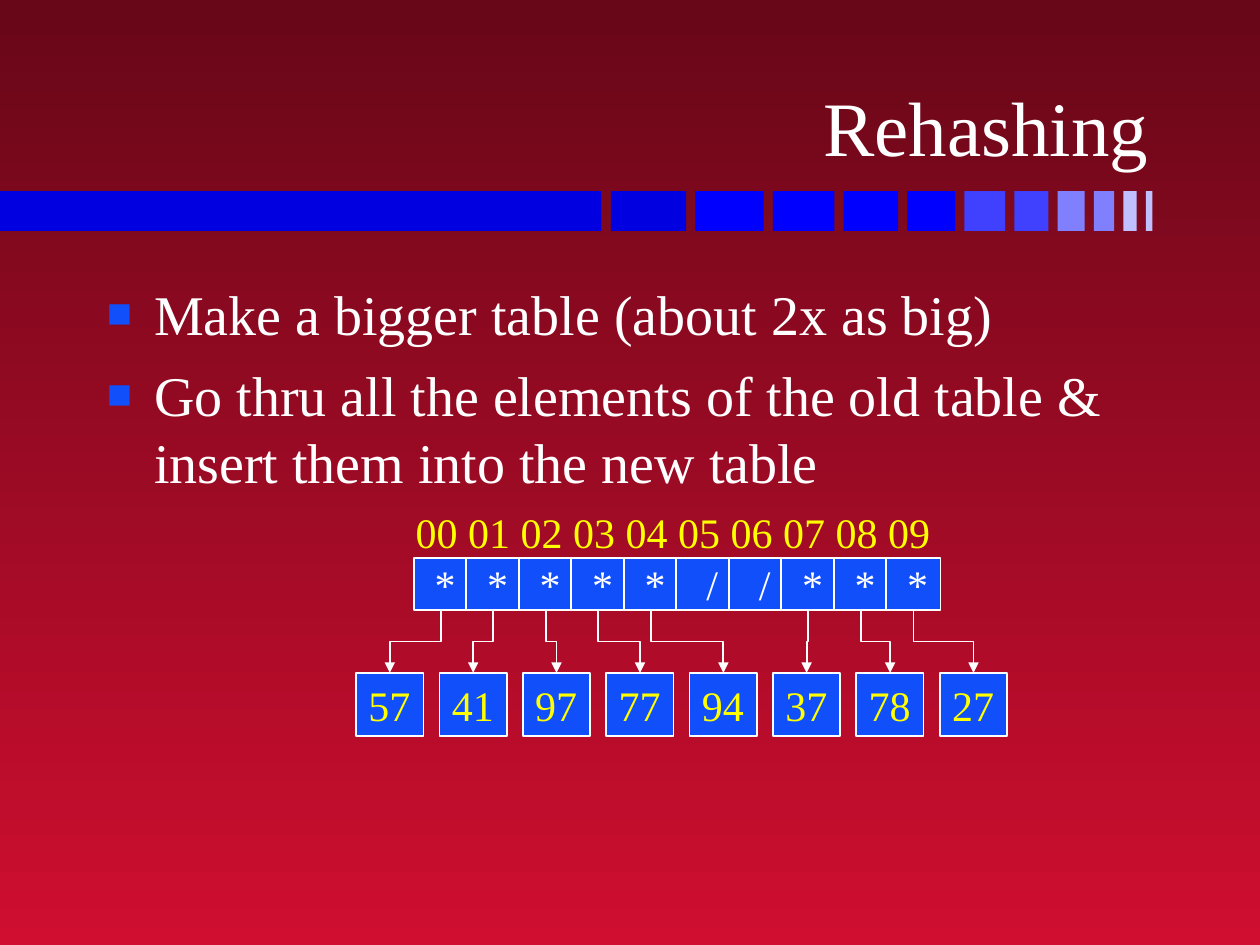
from lxml.etree import SubElement
from pptx import Presentation
from pptx.dml.color import RGBColor
from pptx.enum.shapes import MSO_CONNECTOR as CONN, MSO_SHAPE as SHAPE
from pptx.enum.text import MSO_ANCHOR as ANCHOR, PP_ALIGN as ALIGN
from pptx.oxml.ns import qn
from pptx.util import Pt

FONT = "Times New Roman"
WHITE, YELLOW, BLUE = "FFFFFF", "FFFF00", "114FFB"
BULLETS = [
    "Make a bigger table (about 2x as big)",
    "Go thru all the elements of the old table & insert them into the new table",
]
TABLE = [57, 41, 97, 77, 94, None, None, 37, 78, 27]
STEP_COLORS = ["0000E0"] + ["0000FF"] * 4 + ["4040FF"] * 2 + ["8080FF"] * 2 + ["C0C0FF"] * 2


def rgb(color):
    return RGBColor.from_string(color)


def set_background(s):
    fill = s.background.fill
    fill.gradient()
    fill.gradient_angle = 270
    for stop, color in zip(fill.gradient_stops, ("670718", "CF0E30")):
        stop.color.rgb = rgb(color)


def style_text(p, size, color, align=ALIGN.LEFT):
    p.alignment = align
    for r in p.runs:
        r.font.name, r.font.size = FONT, Pt(size)
        r.font.color.rgb = rgb(color)


def add_rect(s, x, y, w, h, color):
    sp = s.shapes.add_shape(SHAPE.RECTANGLE, Pt(x), Pt(y), Pt(w), Pt(h))
    sp.shadow.inherit = False
    sp.fill.solid()
    sp.fill.fore_color.rgb = rgb(color)
    sp.line.fill.background()
    return sp


def add_box(s, x, y, w, h, text, color, align):
    """Blue, white-edged box holding one table entry."""
    sp = add_rect(s, x, y, w, h, BLUE)
    sp.line.color.rgb = rgb(WHITE)
    sp.line.width = Pt(1)
    tf = sp.text_frame
    tf.word_wrap = False
    tf.vertical_anchor = ANCHOR.MIDDLE
    tf.text = text
    style_text(tf.paragraphs[0], 24, color, align)
    return sp


def add_text(s, x, y, w, h, text, size, color, align=ALIGN.LEFT, anchor=ANCHOR.TOP, wrap=True):
    tf = s.shapes.add_textbox(Pt(x), Pt(y), Pt(w), Pt(h)).text_frame
    tf.word_wrap = wrap
    tf.vertical_anchor = anchor
    tf.text = text
    for p in tf.paragraphs:
        style_text(p, size, color, align)
    return tf


def add_bullet(p):
    pPr = p._p.get_or_add_pPr()
    pPr.set("marL", str(Pt(27)))
    pPr.set("indent", str(-Pt(27)))
    color = SubElement(pPr, qn("a:buClr"))
    SubElement(color, qn("a:srgbClr"), val=BLUE)
    SubElement(pPr, qn("a:buSzPct"), val="75000")
    SubElement(pPr, qn("a:buFont"), typeface=FONT)
    SubElement(pPr, qn("a:buChar"), char="■")


def add_pointer(s, cell, node):
    """Elbow arrow from the bottom of a cell down to the top of a node."""
    x1, y1 = cell.left + cell.width // 2, cell.top + cell.height
    x2, y2 = node.left + node.width // 2, node.top
    c = s.shapes.add_connector(CONN.ELBOW, x1, y1, x2, y2)
    c.begin_connect(cell, 2)
    c.end_connect(node, 0)
    # A vertical elbow is a horizontal one turned a quarter about its centre.
    c.width, c.height = y2 - y1, abs(x2 - x1)
    c.left, c.top = (x1 + x2 - c.width) // 2, (y1 + y2 - c.height) // 2
    xfrm = c._element.spPr.xfrm
    xfrm.flipH, xfrm.flipV = x2 > x1, False
    xfrm.rot = 270 if x2 > x1 else 90
    c.line.color.rgb = rgb(WHITE)
    c.line.width = Pt(1)
    SubElement(c.line._get_or_add_ln(), qn("a:tailEnd"), type="triangle")
    SubElement(c._element.spPr, qn("a:effectLst"))


def add_divider(s):
    """Long bar followed by steadily narrowing steps."""
    top, height, gap = 109.2, 22.8, 5.25
    add_rect(s, 0, top, 343.6, height, "0000E0")
    x = 349.1
    for i, color in enumerate(STEP_COLORS):
        w = 43 - 3.93 * i
        add_rect(s, x, top, w, height, color)
        x += w + gap


def add_body(s):
    tf = add_text(s, 54, 156.2, 612, 324, "\n".join(BULLETS), 32, WHITE)
    for i, p in enumerate(tf.paragraphs):
        p.space_before = Pt(8 if i else 0)
        add_bullet(p)


def add_hash_table(s):
    indices = " ".join(f"{i:02}" for i in range(len(TABLE)))
    add_text(s, 230.4, 286, 310, 36, indices, 24, YELLOW, wrap=False)
    cells = [
        add_box(s, 236.4 + 30 * i, 318.7, 31, 30, "/" if value is None else "*", WHITE, ALIGN.RIGHT)
        for i, value in enumerate(TABLE)
    ]
    filled = [(cell, value) for cell, value in zip(cells, TABLE) if value is not None]
    for i, (cell, value) in enumerate(filled):
        node = add_box(s, 203.5 + 47.64 * i, 384.5, 38.5, 36.2, str(value), YELLOW, ALIGN.LEFT)
        add_pointer(s, cell, node)


def main():
    prs = Presentation()
    prs.slide_width, prs.slide_height = Pt(720), Pt(540)
    s = prs.slides.add_slide(prs.slide_layouts[6])
    set_background(s)
    add_divider(s)
    add_text(s, 53, 13.2, 610.5, 88.5, "Rehashing", 44, WHITE, ALIGN.RIGHT, ANCHOR.BOTTOM)
    add_body(s)
    add_hash_table(s)
    prs.save("out.pptx")


if __name__ == "__main__":
    main()
